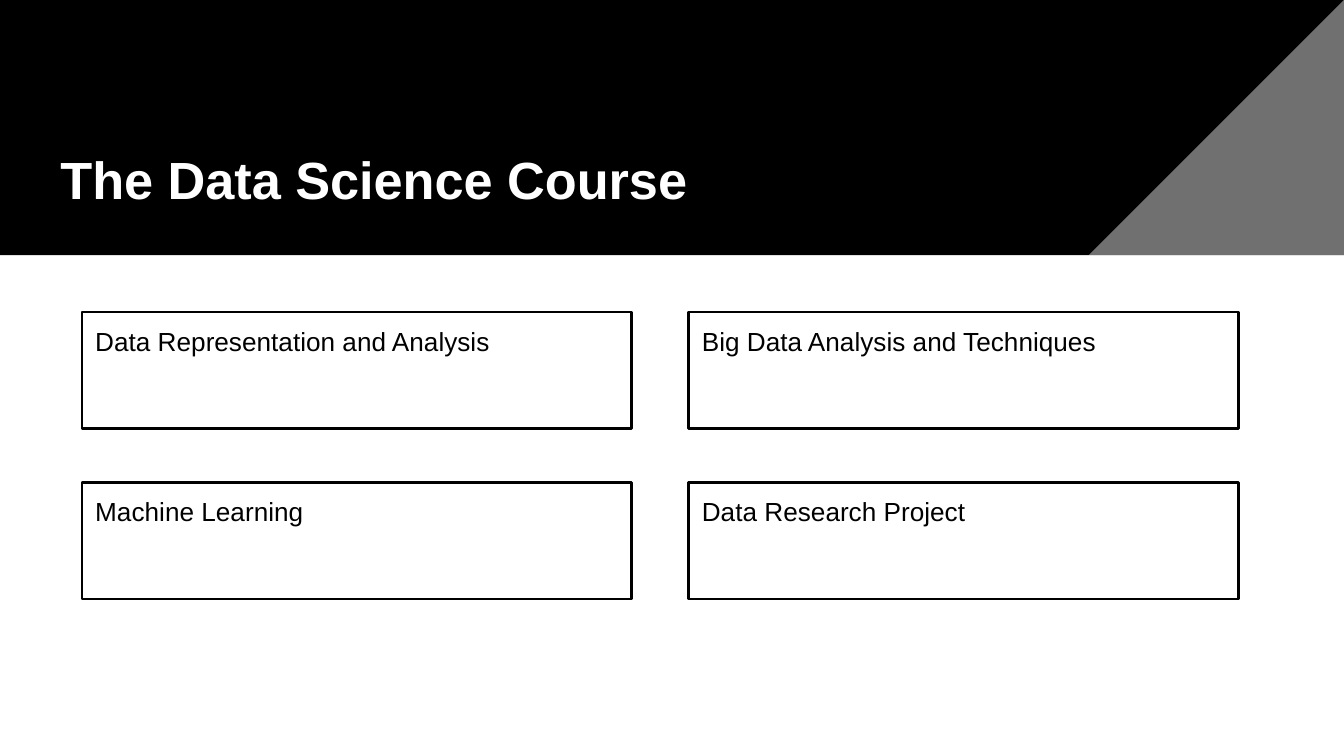
from dataclasses import dataclass

from lxml.etree import SubElement
from pptx import Presentation
from pptx.dml.color import RGBColor
from pptx.enum.shapes import MSO_SHAPE
from pptx.enum.text import MSO_ANCHOR, MSO_AUTO_SIZE, PP_ALIGN
from pptx.oxml.ns import qn
from pptx.util import Pt


@dataclass(frozen=True)
class Theme:
    font: str = "Arial"
    dark: RGBColor = RGBColor(0x00, 0x00, 0x00)
    light: RGBColor = RGBColor(0xFF, 0xFF, 0xFF)
    title_size: float = 28
    body_size: float = 14
    line_width: float = 1.5
    inset: float = 7.2
    corner_opacity: int = 44  # percent


class PageBuilder:
    def __init__(self, page, theme):
        self.page = page
        self.theme = theme

    def add_text(self, shape, text, size, color, anchor, bold=False):
        frame = shape.text_frame
        frame.word_wrap = True
        frame.auto_size = MSO_AUTO_SIZE.NONE
        frame.vertical_anchor = anchor
        frame.margin_left = frame.margin_right = Pt(self.theme.inset)
        frame.margin_top = frame.margin_bottom = Pt(self.theme.inset)
        para = frame.paragraphs[0]
        para.alignment = PP_ALIGN.LEFT
        span = para.add_run()
        span.text = text
        span.font.name = self.theme.font
        span.font.size = Pt(size)
        span.font.bold = bold
        span.font.color.rgb = color

    def shape(self, kind, left, top, width, height, fill=None):
        shape = self.page.shapes.add_shape(
            kind, Pt(left), Pt(top), Pt(width), Pt(height))
        shape.shadow.inherit = False
        shape.line.fill.background()
        if fill is None:
            shape.fill.background()
        else:
            shape.fill.solid()
            shape.fill.fore_color.rgb = fill
        return shape

    def corner(self, left, top, size):
        corner = self.shape(MSO_SHAPE.RIGHT_TRIANGLE, left, top, size, size,
                            self.theme.light)
        corner.rotation = 270
        color = corner.element.spPr.find(qn("a:solidFill"))[0]
        SubElement(color, qn("a:alpha"),
                   val=str(self.theme.corner_opacity * 1000))

    def title(self, text, left, top, width, height):
        title = self.page.shapes.title
        title.left, title.top = Pt(left), Pt(top)
        title.width, title.height = Pt(width), Pt(height)
        self.add_text(title, text, self.theme.title_size, self.theme.light,
                      MSO_ANCHOR.BOTTOM, bold=True)
        # Bring the title in front of the band
        title.element.getparent().append(title.element)

    def topic(self, text, left, top, width, height):
        box = self.shape(MSO_SHAPE.RECTANGLE, left, top, width, height)
        box.line.color.rgb = self.theme.dark
        box.line.width = Pt(self.theme.line_width)
        self.add_text(box, text, self.theme.body_size, self.theme.dark,
                      MSO_ANCHOR.TOP)


def main():
    page_width, page_height, band_height = 720, 405, 136.8
    theme = Theme()
    deck = Presentation()
    deck.slide_width, deck.slide_height = Pt(page_width), Pt(page_height)
    page = deck.slides.add_slide(deck.slide_layouts[5])
    page.background.fill.solid()
    page.background.fill.fore_color.rgb = theme.light
    builder = PageBuilder(page, theme)

    # Header band with its corner and title
    builder.shape(MSO_SHAPE.RECTANGLE, 0, 0, page_width, band_height,
                  theme.dark)
    builder.corner(page_width - band_height, 0, band_height)
    builder.title("The Data Science Course", 25.2, 11.5, 413.3, 108)

    # Course topics in a two by two grid
    topics = [
        ["Data Representation and Analysis",
         "Big Data Analysis and Techniques"],
        ["Machine Learning", "Data Research Project"],
    ]
    left, top, column_step, row_step = 43.9, 167.2, 325, 91.2
    for row, names in enumerate(topics):
        for column, name in enumerate(names):
            builder.topic(name, left + column * column_step,
                          top + row * row_step, 294.5, 62.6)

    deck.save("out.pptx")


if __name__ == "__main__":
    main()
